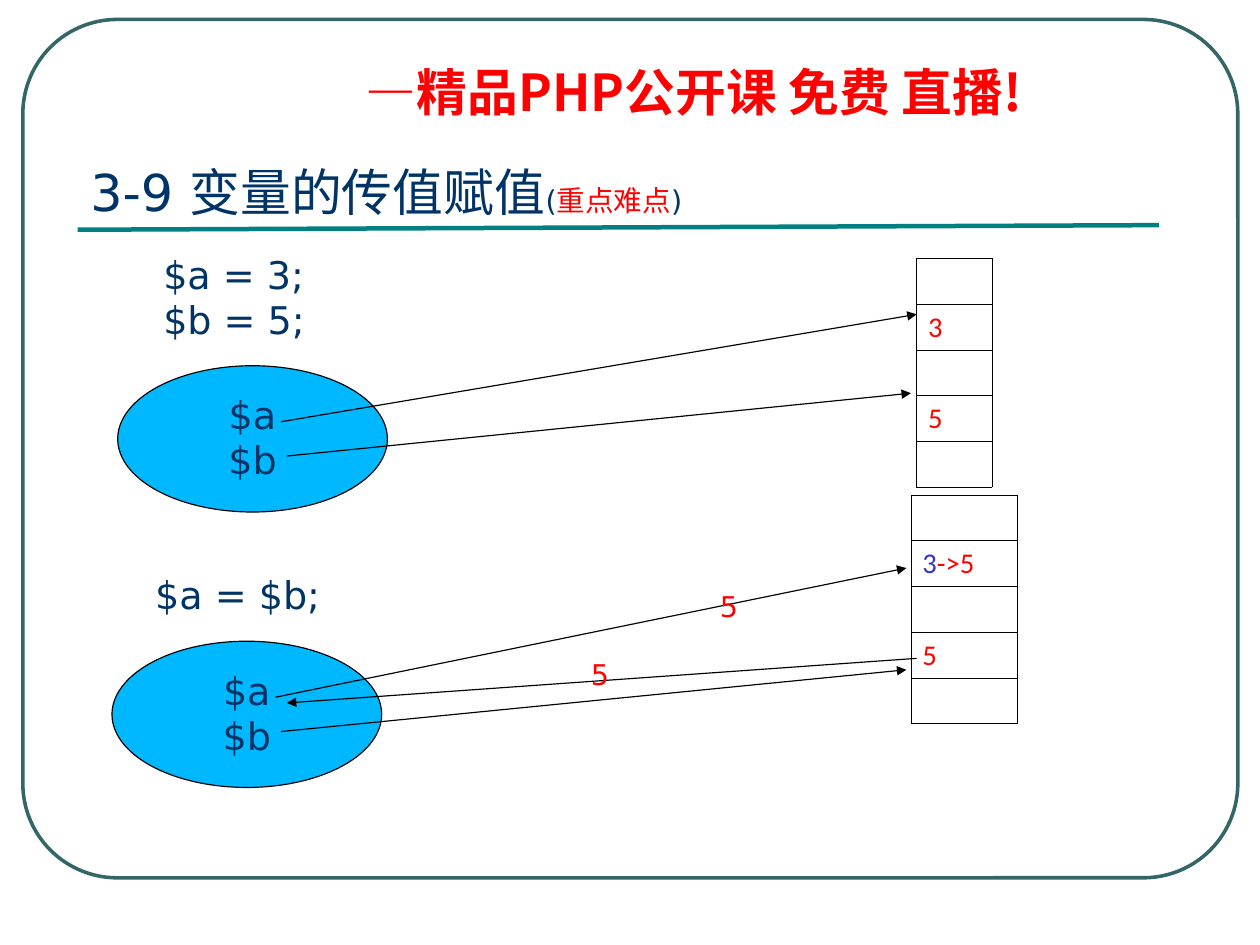
from dataclasses import dataclass

from lxml import etree
from pptx import Presentation
from pptx.dml.color import RGBColor
from pptx.enum import shapes, text
from pptx.oxml import ns
from pptx.util import Inches, Pt

CM_PER_INCH = 2.54
SLIDE_WIDTH = Inches(28 / CM_PER_INCH)
SLIDE_HEIGHT = Inches(21 / CM_PER_INCH)


@dataclass(frozen=True)
class Theme:
    navy: str = "003366"
    red: str = "FF0000"
    blue: str = "3333CC"
    sky: str = "00B8FF"
    black: str = "000000"
    frame: str = "336666"
    rule: str = "008080"
    heading_size: float = 32
    code_size: float = 24
    small_size: float = 18
    heading_font: str = "Noto Sans CJK SC"
    text_font: str = "DejaVu Sans"
    cell_font: str = "Calibri"


THEME = Theme()


@dataclass(frozen=True)
class Run:
    text: str
    color: str = THEME.navy
    size: float = THEME.code_size
    font: str = THEME.text_font
    bold: bool = False


@dataclass(frozen=True)
class Box:
    left: float
    top: float
    width: float
    height: float

    def lengths(self) -> tuple:
        return tuple(Inches(v) for v in (self.left, self.top, self.width, self.height))


@dataclass(frozen=True)
class Line:
    start: tuple[float, float]
    end: tuple[float, float]
    color: str = THEME.black
    width: float = 0.75
    arrow: bool = True


@dataclass(frozen=True)
class Label:
    box: Box
    lines: list[list[Run]]
    wrap: bool = True


@dataclass(frozen=True)
class Memory:
    left: float
    top: float
    width: float
    values: dict[int, list[Run]]


def write_text(frame, lines: list[list[Run]], *, align=text.PP_ALIGN.LEFT,
               anchor=text.MSO_ANCHOR.TOP, spacing: float = 0.98,
               wrap: bool = True, hanging: float = 0) -> None:
    frame.word_wrap = wrap
    frame.vertical_anchor = anchor
    for index, runs in enumerate(lines):
        paragraph = frame.paragraphs[0] if index == 0 else frame.add_paragraph()
        paragraph.alignment = align
        paragraph.line_spacing = spacing
        if hanging:
            properties = paragraph._p.get_or_add_pPr()
            properties.set("marL", str(Inches(hanging)))
            properties.set("indent", str(-Inches(hanging)))
        for item in runs:
            run = paragraph.add_run()
            run.text = item.text
            run.font.size = Pt(item.size)
            run.font.bold = item.bold
            run.font.color.rgb = RGBColor.from_string(item.color)
            run.font.name = item.font
            latin = run._r.rPr.find(ns.qn("a:latin"))
            latin.addnext(latin.makeelement(ns.qn("a:ea"), {"typeface": THEME.heading_font}))


def add_label(slide, label: Label, **format) -> None:
    shape = slide.shapes.add_textbox(*label.box.lengths())
    write_text(shape.text_frame, label.lines, wrap=label.wrap, **format)


def add_line(slide, line: Line) -> None:
    points = [Inches(value) for value in (*line.start, *line.end)]
    connector = slide.shapes.add_connector(shapes.MSO_CONNECTOR.STRAIGHT, *points)
    connector.line.color.rgb = RGBColor.from_string(line.color)
    connector.line.width = Pt(line.width)
    if line.arrow:
        etree.SubElement(connector.line._get_or_add_ln(), ns.qn("a:tailEnd"), type="triangle")
    etree.SubElement(connector._element.spPr, ns.qn("a:effectLst"))


def add_outline(slide, kind, box: Box, color: str, width: float, fill: str = ""):
    shape = slide.shapes.add_shape(kind, *box.lengths())
    shape.shadow.inherit = False
    if fill:
        shape.fill.solid()
        shape.fill.fore_color.rgb = RGBColor.from_string(fill)
    else:
        shape.fill.background()
    shape.line.color.rgb = RGBColor.from_string(color)
    shape.line.width = Pt(width)
    return shape


def add_variables(slide, left: float, top: float) -> None:
    ellipse = add_outline(slide, shapes.MSO_SHAPE.OVAL, Box(left, top, 2.36, 1.28),
                          THEME.black, 0.75, THEME.sky)
    write_text(ellipse.text_frame, [[Run("$a")], [Run("$b")]], wrap=False,
               align=text.PP_ALIGN.CENTER, anchor=text.MSO_ANCHOR.MIDDLE)


def add_memory(slide, memory: Memory, rows: int = 5, row_height: float = 0.4) -> None:
    box = Box(memory.left, memory.top, memory.width, rows * row_height)
    table = slide.shapes.add_table(rows, 1, *box.lengths()).table
    table.first_row = table.horz_banding = False
    for row in range(rows):
        cell = table.cell(row, 0)
        properties = cell._tc.get_or_add_tcPr()
        for side in ("lnL", "lnR", "lnT", "lnB"):
            border = etree.SubElement(properties, ns.qn(f"a:{side}"), w=str(Pt(0.45)))
            fill = etree.SubElement(border, ns.qn("a:solidFill"))
            etree.SubElement(fill, ns.qn("a:srgbClr"), val=THEME.black)
        cell.fill.background()
        if row in memory.values:
            write_text(cell.text_frame, [memory.values[row]], spacing=1.0)


def cell_run(value: str, color: str = THEME.red) -> Run:
    return Run(value, color, THEME.small_size, THEME.cell_font)


def small_run(value: str, color: str = THEME.navy) -> Run:
    return Run(value, color, THEME.small_size)


VARIABLES = [(1.03, 3.2), (0.98, 5.61)]
MEMORIES = [
    Memory(8.02, 2.26, 0.66, {1: [cell_run("3")], 3: [cell_run("5")]}),
    Memory(7.97, 4.33, 0.93, {1: [cell_run("3", THEME.blue), cell_run("->5")],
                              3: [cell_run("5")]}),
]
ARROWS = [
    Line((2.46, 3.69), (8.02, 2.75)),
    Line((2.51, 3.99), (7.97, 3.44)),
    Line((2.41, 6.1), (7.93, 4.97)),
    Line((2.46, 6.4), (7.93, 5.86)),
    Line((8.02, 5.76), (2.51, 6.15)),
]
LABELS = [
    Label(Box(1.33, 2.17, 2.48, 0.89), [[Run("$a = 3;")], [Run("$b = 5;")]]),
    Label(Box(1.26, 4.97, 1.64, 0.49), [[Run("$a = $b;")]], wrap=False),
    Label(Box(5.07, 5.71, 0.51, 0.4), [[small_run("5", THEME.red)]]),
    Label(Box(6.2, 5.12, 0.51, 0.4), [[small_run("5", THEME.red)]]),
]


def main() -> None:
    presentation = Presentation()
    presentation.slide_width, presentation.slide_height = SLIDE_WIDTH, SLIDE_HEIGHT
    slide = presentation.slides.add_slide(presentation.slide_layouts[5])

    frame = add_outline(slide, shapes.MSO_SHAPE.ROUNDED_RECTANGLE,
                        Box(0.2, 0.17, 10.63, 7.51), THEME.frame, 2.25)
    frame.adjustments[0] = 0.11
    add_line(slide, Line((0.68, 2.01), (10.14, 1.97), THEME.rule, 2.83, arrow=False))
    headline = Run("—精品PHP公开课 免费 直播!", THEME.red, THEME.heading_size,
                   THEME.heading_font, bold=True)
    add_label(slide, Label(Box(3.1, 0.54, 6.89, 0.58), [[headline]]), spacing=0.9, hanging=0.38)

    title = slide.shapes.title
    title.left, title.top, title.width, title.height = Box(0.69, 1.38, 9.06, 0.63).lengths()
    write_text(title.text_frame, [[
        Run("3-9 变量的传值赋值", size=THEME.heading_size),
        small_run("("), small_run("重点难点", THEME.red), small_run(")"),
    ]])
    title.text_frame.auto_size = text.MSO_AUTO_SIZE.NONE

    for left, top in VARIABLES:
        add_variables(slide, left, top)
    for memory in MEMORIES:
        add_memory(slide, memory)
    for arrow in ARROWS:
        add_line(slide, arrow)
    for label in LABELS:
        add_label(slide, label)
    presentation.save("out.pptx")


if __name__ == "__main__":
    main()
